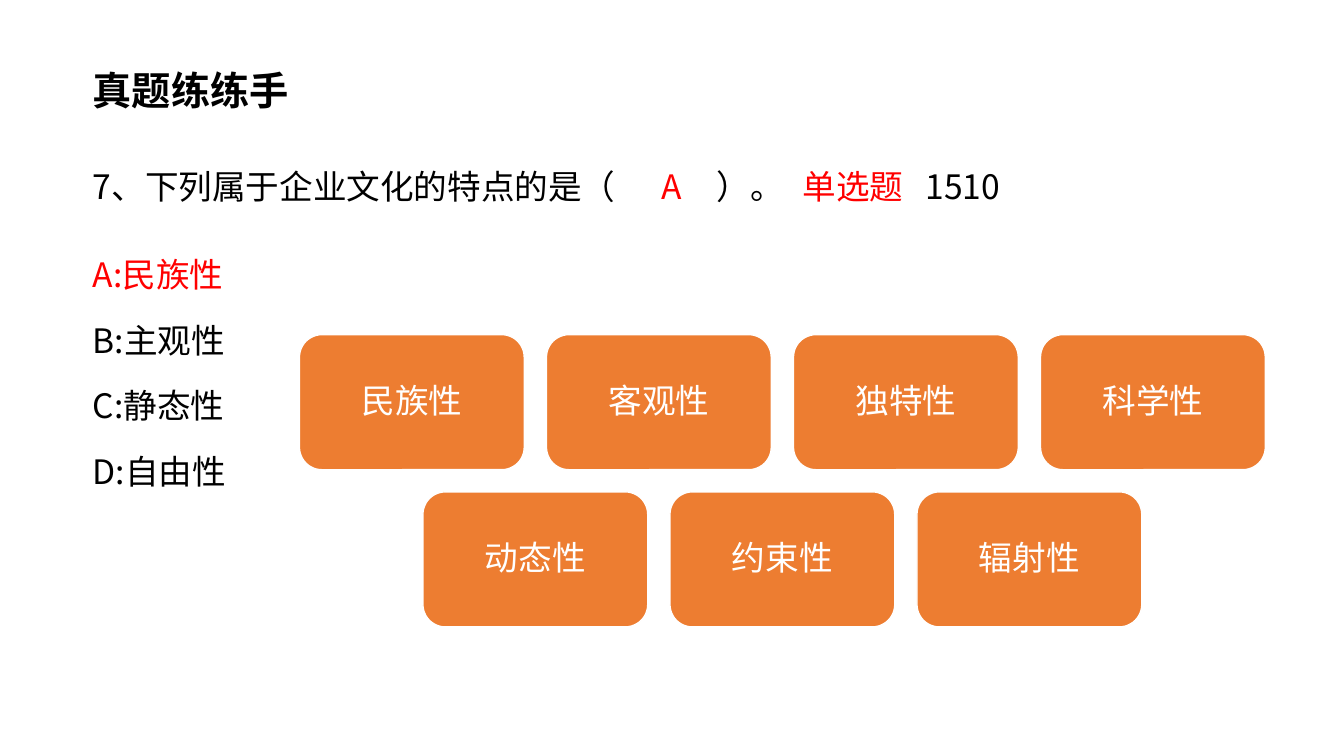
"""Build a quiz slide with one question, four options and seven answer cards."""
from dataclasses import dataclass

from lxml import etree
from pptx import Presentation
from pptx.dml.color import RGBColor
from pptx.enum.shapes import MSO_SHAPE
from pptx.enum.text import MSO_ANCHOR, PP_ALIGN
from pptx.oxml.ns import qn
from pptx.util import Inches, Pt

ROUND_RECT = MSO_SHAPE.ROUNDED_RECTANGLE
MIDDLE = MSO_ANCHOR.MIDDLE
CENTER = PP_ALIGN.CENTER


@dataclass(frozen=True)
class Theme:
    black: RGBColor = RGBColor(0, 0, 0)
    red: RGBColor = RGBColor(255, 0, 0)
    white: RGBColor = RGBColor(255, 255, 255)
    orange: RGBColor = RGBColor(0xED, 0x7D, 0x31)
    font: str = "Noto Sans CJK SC"
    card_font: str = "Noto Sans CJK JP"
    title_size: Pt = Pt(28)
    body_size: Pt = Pt(24)


theme = Theme()


def add_run(p, text, color, size=theme.body_size, font=theme.font, bold=False):
    r = p.add_run()
    r.text = text
    r.font.size = size
    r.font.bold = bold
    r.font.name = font
    r.font.color.rgb = color
    etree.SubElement(r.font._element, qn("a:ea"), typeface=font)


def add_text_box(s, left, top, width, height):
    tf = s.shapes.add_textbox(Inches(left), Inches(top), Inches(width), Inches(height)).text_frame
    tf.word_wrap = True
    tf.margin_left = tf.margin_right = Inches(0.12)
    tf.margin_top = tf.margin_bottom = Inches(0.06)
    return tf


prs = Presentation()
prs.slide_width, prs.slide_height = Inches(13.33), Inches(7.5)
s = prs.slides.add_slide(prs.slide_layouts[6])

p = add_text_box(s, 0.8, 0.65, 9.65, 0.59).paragraphs[0]
p.line_spacing = 0.9
add_run(p, "真题练练手", theme.black, theme.title_size, bold=True)

tf = add_text_box(s, 0.8, 1.47, 11.45, 5.51)
p = tf.paragraphs[0]
tabs = etree.SubElement(p._p.get_or_add_pPr(), qn("a:tabLst"))
for position in (5.64, 6.19, 7.04, 8.26):
    etree.SubElement(tabs, qn("a:tab"), pos=str(Inches(position)), algn="l")
p.line_spacing = 1.3
question = [
    ("7、下列属于企业文化的特点的是（\t", theme.black),
    ("A\t", theme.red),
    ("）。\t", theme.black),
    ("单选题\t", theme.red),
    ("1510", theme.black),
]
for text, color in question:
    add_run(p, text, color)

options = [
    ("A:民族性", theme.red, 37.3),
    ("B:主观性", theme.black, 20.8),
    ("C:静态性", theme.black, 20.8),
    ("D:自由性", theme.black, 20.8),
]
for text, color, gap in options:
    p = tf.add_paragraph()
    p.line_spacing = 0.9
    p.space_before = Pt(gap)
    add_run(p, text, color)

card_rows = [
    ["民族性", "客观性", "独特性", "科学性"],
    ["动态性", "约束性", "辐射性"],
]
card_w, card_h, card_gap = 2.23, 1.34, 0.22
rows_center, rows_top = 7.76, 3.32
for i, row in enumerate(card_rows):
    row_w = len(row) * (card_w + card_gap) - card_gap
    for j, text in enumerate(row):
        left = rows_center - row_w / 2 + j * (card_w + card_gap)
        top = rows_top + i * (card_h + card_gap)
        sp = s.shapes.add_shape(ROUND_RECT, Inches(left), Inches(top), Inches(card_w), Inches(card_h))
        sp.shadow.inherit = False
        sp.fill.solid()
        sp.fill.fore_color.rgb = theme.orange
        sp.line.color.rgb = theme.white
        sp.line.width = Pt(1)
        tf = sp.text_frame
        tf.word_wrap = True
        tf.vertical_anchor = MIDDLE
        tf.margin_left = tf.margin_right = tf.margin_top = tf.margin_bottom = Inches(0.1)
        p = tf.paragraphs[0]
        p.alignment = CENTER
        p.line_spacing = 0.9
        add_run(p, text, theme.white, font=theme.card_font)

prs.save("out.pptx")
